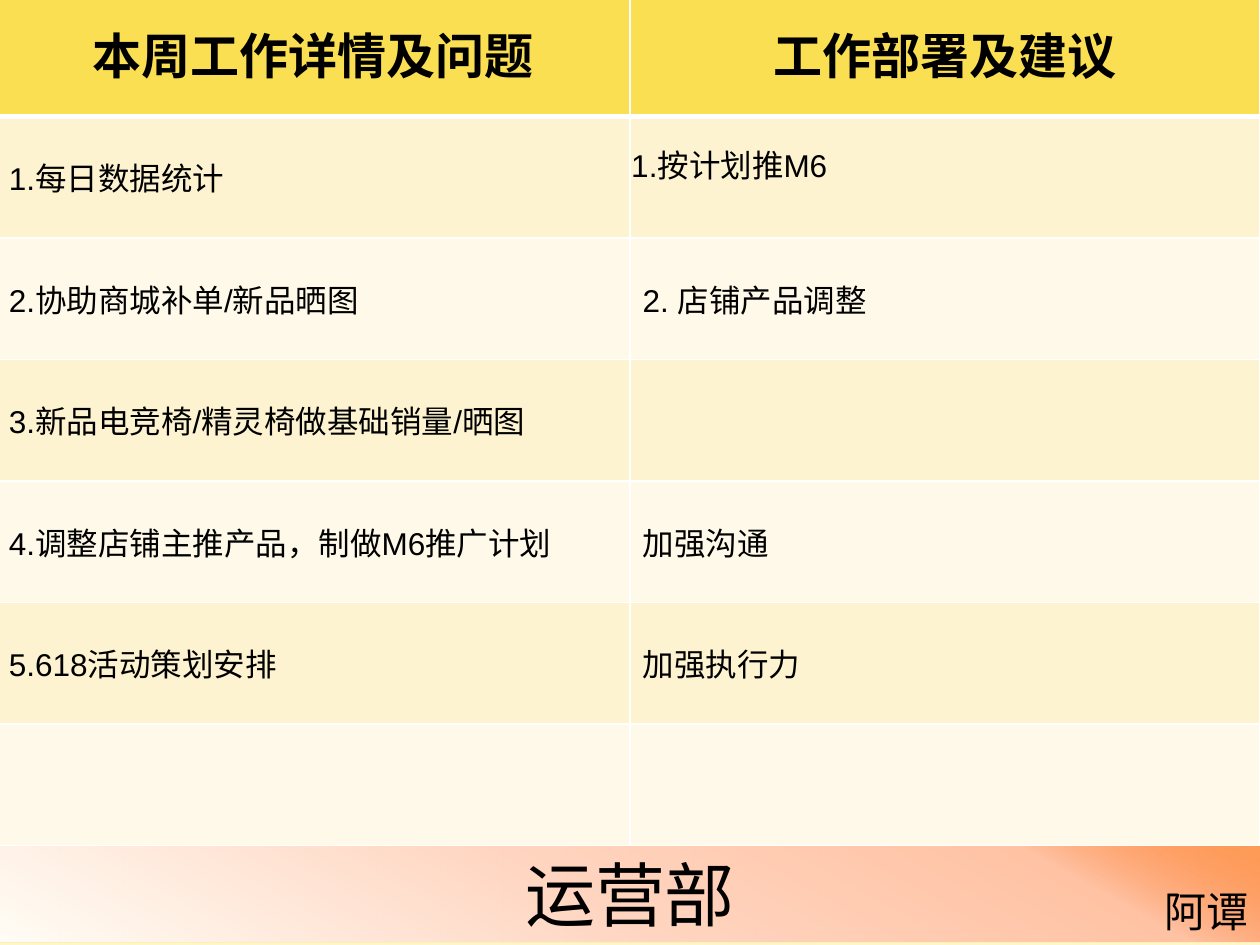
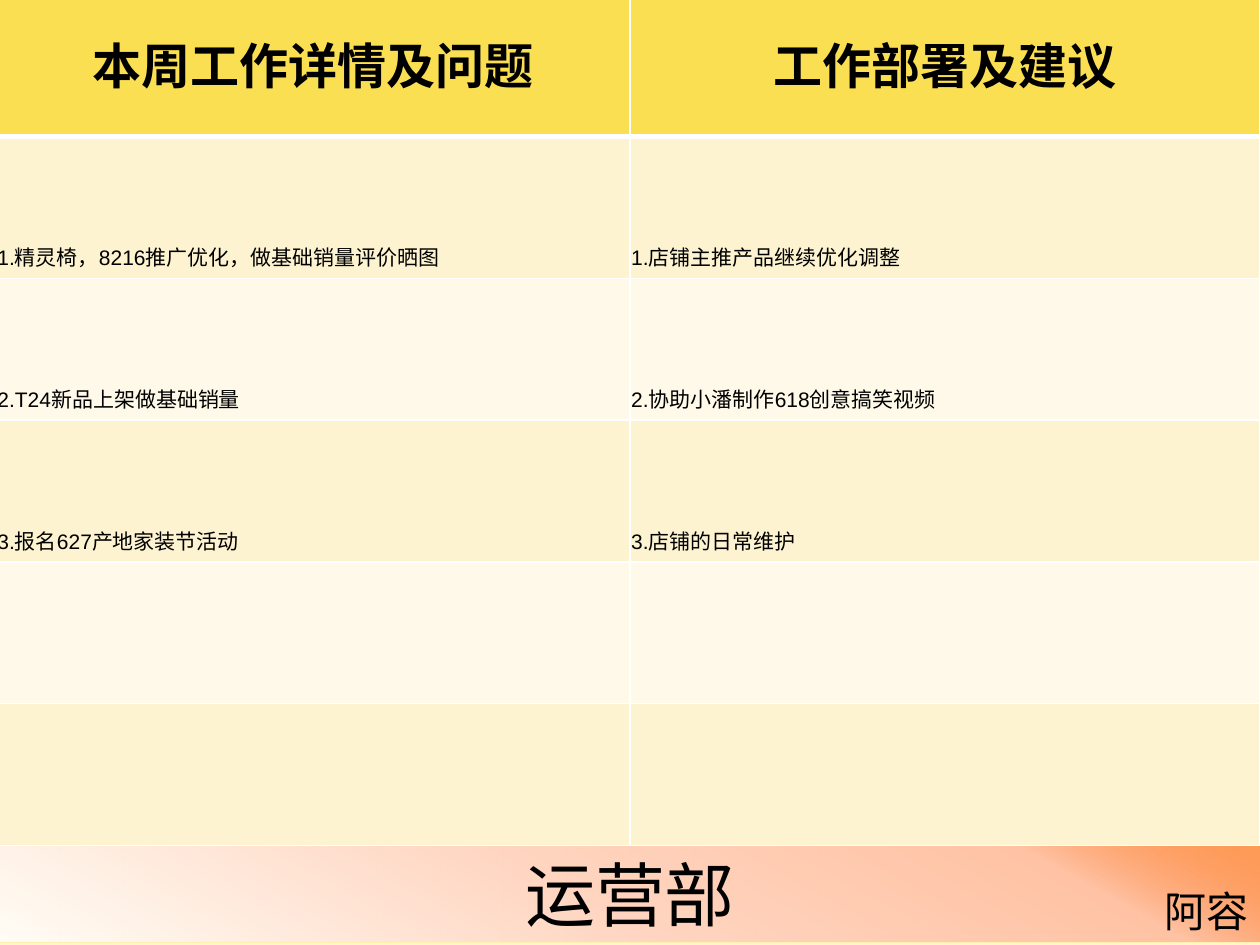
"""Build the weekly report slides of the operations department."""
from dataclasses import dataclass
from lxml import etree
from pptx import Presentation
from pptx import util as u
from pptx.dml.color import RGBColor
from pptx.enum import shapes, text
from pptx.oxml import ns

DEPARTMENT = "运营部"
HEADINGS = ("本周工作详情及问题", "工作部署及建议")
REPORTS = [
    {
        "author": "阿谭", "size": 18, "layout": "roomy", "special": {(1, 1): "raised"},
        "rows": [
            ("1.每日数据统计", "1.按计划推M6"),
            ("2.协助商城补单/新品晒图", "2. 店铺产品调整"),
            ("3.新品电竞椅/精灵椅做基础销量/晒图", ""),
            ("4.调整店铺主推产品，制做M6推广计划", "加强沟通"),
            ("5.618活动策划安排", "加强执行力"),
            ("", ""),
        ],
    },
    {
        "author": "阿容", "size": 12, "layout": "tight", "special": {},
        "rows": [
            ("1.精灵椅，8216推广优化，做基础销量评价晒图", "1.店铺主推产品继续优化调整"),
            ("2.T24新品上架做基础销量", "2.协助小潘制作618创意搞笑视频"),
            ("3.报名627产地家装节活动", "3.店铺的日常维护"),
            ("", ""),
            ("", ""),
        ],
    },
]

MIDDLE, BOTTOM = text.MSO_ANCHOR.MIDDLE, text.MSO_ANCHOR.BOTTOM
CELL_LAYOUTS = {
    "header": (MIDDLE, (0.01, 0.01, 0.01, 0.05)),
    "roomy": (MIDDLE, (0.1, 0.05, 0.1, 0.05)),
    "tight": (BOTTOM, (0.01, 0.01, 0.01, 0.05)),
    "raised": (BOTTOM, (0.01, 0.01, 0.01, 0.41)),
}


@dataclass(frozen=True)
class Theme:
    """Hold the shared colours, fonts, sizes and places."""
    ink: str = "000000"
    header: str = "FBDF53"
    stripes: tuple = ("FDF3D1", "FEF9E9")
    rule: str = "FFFFFF"
    band_line: str = "FDF1B2"
    page_stops: tuple = ((0, "FFFDF6", 100), (74, "FDF1B2", 100),
                         (83, "FDF1B2", 100), (100, "FEF5CB", 100))
    band_stops: tuple = ((0, "FFFDF6", 100), (45, "FFD6C2", 100),
                         (83, "FFC2A3", 100), (100, "FF5D0D", 58))
    latin: str = "Arial"
    chinese: str = "Noto Sans CJK SC"
    heading_size: int = 28
    band_size: int = 40
    author_size: int = 24
    page: tuple = (10, 7.5)
    columns: tuple = (5.03, 5)
    table: tuple = (-0.03, -0.04, 10.03, 6.75)
    band: tuple = (-0.02, 6.71, 10.04, 0.77)
    author: tuple = (9.14, 6.98, 0.87, 0.5)


THEME = Theme()


def place(box):
    """Turn a box in inches into lengths."""
    return [u.Inches(length) for length in box]


def write(frame, words, size, align, latin=THEME.chinese, bold=False):
    """Fill a text frame with one formatted paragraph."""
    frame.text = words
    para = frame.paragraphs[0]
    para.alignment = align
    for span in para.runs:
        font = span.font
        font.size, font.bold, font.name = u.Pt(size), bold, latin
        font.color.rgb = RGBColor.from_string(THEME.ink)
        east = etree.SubElement(span._r.get_or_add_rPr(), ns.qn("a:ea"))
        east.set("typeface", THEME.chinese)


def add_gradient(fill, owner, stops, angle):
    """Give a fill its colour stops and its clockwise angle."""
    fill.gradient()
    fill.gradient_angle = 360 - angle
    stop_list = owner.xpath(".//a:gradFill/a:gsLst")[0]
    for old in list(stop_list):
        stop_list.remove(old)
    for position, colour, opacity in stops:
        stop = etree.SubElement(stop_list, ns.qn("a:gs"), pos=str(position * 1000))
        tint = etree.SubElement(stop, ns.qn("a:srgbClr"), val=colour)
        if opacity < 100:
            etree.SubElement(tint, ns.qn("a:alpha"), val=str(opacity * 1000))


def add_borders(cell, row):
    """Rule a cell, with a thick line below the header row."""
    widths = {"L": 1, "R": 1, "T": 3 if row == 1 else 1, "B": 3 if row == 0 else 1}
    for side, width in widths.items():
        line = etree.SubElement(cell._tc.get_or_add_tcPr(), ns.qn(f"a:ln{side}"),
                                w=str(u.Pt(width)))
        solid = etree.SubElement(line, ns.qn("a:solidFill"))
        etree.SubElement(solid, ns.qn("a:srgbClr"), val=THEME.rule)


def style_cell(cell, row, layout):
    """Set the borders, fill, anchor and margins of a cell."""
    add_borders(cell, row)
    cell.fill.solid()
    colour = THEME.stripes[(row - 1) % 2] if row else THEME.header
    cell.fill.fore_color.rgb = RGBColor.from_string(colour)
    cell.vertical_anchor, margins = CELL_LAYOUTS[layout]
    (cell.margin_left, cell.margin_top,
     cell.margin_right, cell.margin_bottom) = place(margins)


def add_report_table(page, report):
    """Add the two-column table of work done and work planned."""
    rows = [HEADINGS] + report["rows"]
    grid = page.shapes.add_table(len(rows), len(HEADINGS), *place(THEME.table)).table
    for column, width in zip(grid.columns, THEME.columns):
        column.width = u.Inches(width)
    for row, entries in enumerate(rows):
        grid.rows[row].height = u.Inches(THEME.table[3] / len(rows))
        for column, words in enumerate(entries):
            cell = grid.cell(row, column)
            layout = report["special"].get((row, column), report["layout"])
            style_cell(cell, row, layout if row else "header")
            if row == 0:
                write(cell.text_frame, words, THEME.heading_size,
                      text.PP_ALIGN.CENTER, bold=True)
            elif words:
                write(cell.text_frame, words, report["size"],
                      text.PP_ALIGN.LEFT, THEME.latin)


def add_footer(page, author):
    """Add the department band and the author's name."""
    band = page.shapes.add_shape(shapes.MSO_SHAPE.RECTANGLE, *place(THEME.band))
    band.shadow.inherit = False
    add_gradient(band.fill, band._element.spPr, THEME.band_stops, 299)
    band.line.color.rgb = RGBColor.from_string(THEME.band_line)
    band.line.width = u.Pt(0.75)
    band.text_frame.vertical_anchor = MIDDLE
    write(band.text_frame, DEPARTMENT, THEME.band_size, text.PP_ALIGN.CENTER)
    box = page.shapes.add_textbox(*place(THEME.author))
    box.text_frame.word_wrap = False
    box.text_frame.auto_size = text.MSO_AUTO_SIZE.SHAPE_TO_FIT_TEXT
    write(box.text_frame, author, THEME.author_size, text.PP_ALIGN.RIGHT)


def build():
    """Build and save the deck."""
    deck = Presentation()
    deck.slide_width, deck.slide_height = place(THEME.page)
    master = deck.slide_master
    add_gradient(master.background.fill, master._element.cSld, THEME.page_stops, 90)
    for report in REPORTS:
        page = deck.slides.add_slide(deck.slide_layouts[6])
        add_footer(page, report["author"])
        add_report_table(page, report)
    deck.save("out.pptx")


build()
